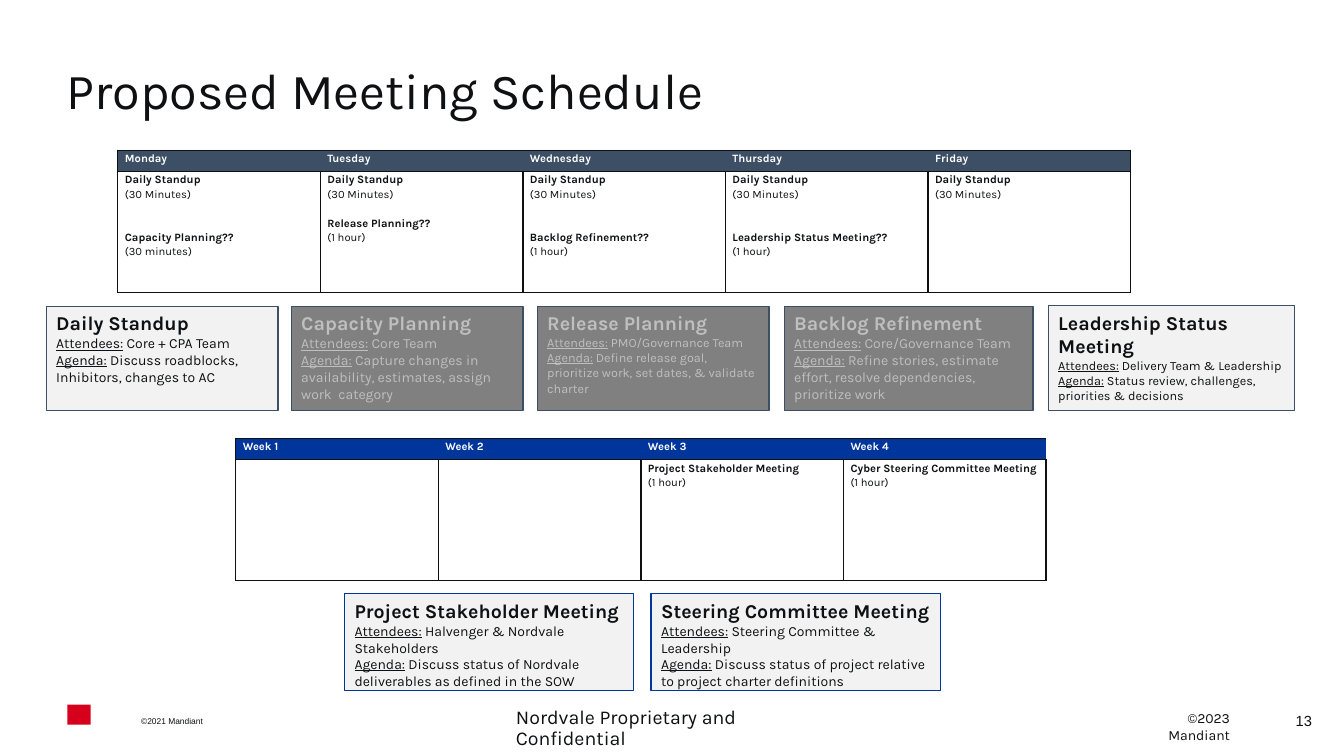
from lxml import etree
from pptx import Presentation
from pptx.dml.color import RGBColor
from pptx.enum import shapes, text
from pptx.oxml.ns import qn
from pptx.util import Pt

INK = RGBColor(0x0E, 0x10, 0x12)
WHITE = RGBColor(0xFF, 0xFF, 0xFF)
SLATE = RGBColor(0x3C, 0x4F, 0x65)
BLUE = RGBColor(0x00, 0x36, 0x9B)
PALE = RGBColor(0xF2, 0xF2, 0xF2)
GREY = RGBColor(0x80, 0x80, 0x80)
SILVER = RGBColor(0xBF, 0xBF, 0xBF)
RED = RGBColor(0xD6, 0x00, 0x1C)

COLUMN_WIDTH = 144.7
HEADER_HEIGHT = 15.1
BODY_HEIGHT = 86.4
LINE_HEIGHT = 10.3

# Each cell holds (meeting, duration, lines of space above)
STANDUP = ("Daily Standup", "(30 Minutes)", 0)
WEEKDAYS = {
    "Monday": [STANDUP, ("Capacity Planning??", "(30 minutes)", 2)],
    "Tuesday": [STANDUP, ("Release Planning??", "(1 hour)", 1)],
    "Wednesday": [STANDUP, ("Backlog Refinement??", "(1 hour)", 2)],
    "Thursday": [STANDUP, ("Leadership Status Meeting??", "(1 hour)", 2)],
    "Friday": [STANDUP],
}
WEEKS = {
    "Week 1": [],
    "Week 2": [],
    "Week 3": [("Project Stakeholder Meeting", "(1 hour)", 0)],
    "Week 4": [("Cyber Steering Committee Meeting", "(1 hour)", 0)],
}

# Box, heading, attendees, agenda, detail size, fill, font colour
WEEKLY_CARDS = [
    ((33.1, 218.9, 165.6, 74.2), "Daily Standup", "Core + CPA Team",
     "Discuss roadblocks, Inhibitors, changes to AC", 10, PALE, INK),
    ((208.1, 218.9, 165.6, 74.2), "Capacity Planning", "Core Team",
     "Capture changes in availability, estimates, assign work  category", 10, GREY, SILVER),
    ((383.8, 218.9, 165.6, 74.2), "Release Planning", "PMO/Governance Team",
     "Define release goal, prioritize work, set dates, & validate charter", 9, GREY, SILVER),
    ((560.2, 218.9, 177.8, 74.2), "Backlog Refinement", "Core/Governance Team",
     "Refine stories, estimate effort, resolve dependencies, prioritize work", 10, GREY, SILVER),
    ((748.8, 218.2, 175.7, 74.9), "Leadership Status Meeting", "Delivery Team & Leadership",
     "Status review, challenges, priorities & decisions", 9, PALE, INK),
]
MONTHLY_CARDS = [
    ((246.2, 424.1, 206.6, 69.1), "Project Stakeholder Meeting",
     "Halvenger & Nordvale Stakeholders",
     "Discuss status of Nordvale deliverables as defined in the SOW", 10, PALE, INK),
    ((465.1, 424.1, 206.6, 69.1), "Steering Committee Meeting",
     "Steering Committee & Leadership",
     "Discuss status of project relative to project charter definitions", 10, PALE, INK),
]


def style(font, size, color, bold=False, name="Karla"):
    font.name = name
    font.size = Pt(size)
    font.bold = bold
    font.color.rgb = color


def set_margins(target, left, top, right, bottom):
    target.margin_left, target.margin_top = Pt(left), Pt(top)
    target.margin_right, target.margin_bottom = Pt(right), Pt(bottom)


def set_borders(cell, drawn):
    """Draw the named sides (of L, R, T, B) and clear the others."""
    properties = cell._tc.get_or_add_tcPr()
    for side in "LRTB":
        line = etree.SubElement(properties, qn(f"a:ln{side}"), w=str(Pt(1)))
        if side in drawn:
            fill = etree.SubElement(line, qn("a:solidFill"))
            etree.SubElement(fill, qn("a:srgbClr"), val=str(INK))
        else:
            etree.SubElement(line, qn("a:noFill"))


def fill_cell(cell, lines, color):
    """Write lines given as (words, bold, space before)."""
    set_margins(cell, 5, 0.7, 5, 0)
    frame = cell.text_frame
    frame.text = "\n".join(words for words, _, _ in lines)
    for paragraph, (_, bold, space) in zip(frame.paragraphs, lines):
        paragraph.line_spacing = 1.1
        if space:
            paragraph.space_before = Pt(space)
        style(paragraph.font, 8, color, bold)
        for run in paragraph.runs:
            style(run.font, 8, color, bold)


def add_schedule(slide, left, top, schedule, header_color, closed):
    """closed tells whether the header row has a border at its right end."""
    count = len(schedule)
    frame = slide.shapes.add_table(2, count, Pt(left), Pt(top), Pt(COLUMN_WIDTH * count),
                                   Pt(HEADER_HEIGHT + BODY_HEIGHT))
    table = frame.table
    table.first_row = table.horz_banding = False
    table.rows[0].height, table.rows[1].height = Pt(HEADER_HEIGHT), Pt(BODY_HEIGHT)
    for index, (heading, meetings) in enumerate(schedule.items()):
        table.columns[index].width = Pt(COLUMN_WIDTH)
        header, body = table.cell(0, index), table.cell(1, index)
        sides = "TB" + ("L" if index == 0 else "")
        if closed and index == count - 1:
            sides += "R"
        set_borders(header, sides)
        header.fill.solid()
        header.fill.fore_color.rgb = header_color
        fill_cell(header, [(heading, True, 0)], WHITE)

        set_borders(body, "LRTB")
        body.fill.background()
        lines = []
        for meeting, duration, gap in meetings:
            lines += [(meeting, True, gap * LINE_HEIGHT), (duration, False, 0)]
        fill_cell(body, lines, INK)


def add_rectangle(slide, box, color):
    shape = slide.shapes.add_shape(shapes.MSO_SHAPE.RECTANGLE, *map(Pt, box))
    shape.shadow.inherit = False
    shape.fill.solid()
    shape.fill.fore_color.rgb = color
    shape.line.fill.background()
    return shape


def add_card(slide, border, box, heading, attendees, agenda, size, fill, color):
    shape = add_rectangle(slide, box, fill)
    shape.line.color.rgb = border
    shape.line.width = Pt(1)
    frame = shape.text_frame
    frame.word_wrap = True
    frame.vertical_anchor = text.MSO_ANCHOR.TOP
    frame.text = heading
    style(frame.paragraphs[0].runs[0].font, 14, color, True)
    for label, words in (("Attendees:", attendees), ("Agenda:", agenda)):
        paragraph = frame.add_paragraph()
        for part, underlined in ((label, True), (f" {words}", False)):
            run = paragraph.add_run()
            run.text = part
            style(run.font, size, color)
            run.font.underline = underlined
    for paragraph in frame.paragraphs:
        paragraph.alignment = text.PP_ALIGN.LEFT


def add_label(slide, box, words, size, font="Karla", align=text.PP_ALIGN.LEFT, tight=False):
    """A tight label has no margins and is centred vertically."""
    frame = slide.shapes.add_textbox(*map(Pt, box)).text_frame
    frame.word_wrap = True
    if tight:
        set_margins(frame, 0, 0, 0, 0)
        frame.vertical_anchor = text.MSO_ANCHOR.MIDDLE
    frame.text = words
    paragraph = frame.paragraphs[0]
    paragraph.alignment = align
    style(paragraph.runs[0].font, size, INK, name=font)
    return paragraph


def set_title(slide, words):
    title = slide.shapes.title
    title.left, title.top, title.width, title.height = map(Pt, (47.5, 46.8, 863.3, 33.8))
    frame = title.text_frame
    set_margins(frame, 0, 0, 0, 0)
    frame.auto_size = text.MSO_AUTO_SIZE.NONE
    frame.vertical_anchor = text.MSO_ANCHOR.TOP
    frame.text = words
    paragraph = frame.paragraphs[0]
    paragraph.alignment = text.PP_ALIGN.LEFT
    paragraph.line_spacing = 0.9
    style(paragraph.runs[0].font, 36, INK)


def add_footer(slide):
    add_rectangle(slide, (48.2, 503.3, 16.6, 14.4), RED)
    add_label(slide, (100.8, 511.2, 68.4, 7.2), "©2021 Mandiant", 6, "Arial", tight=True)
    notice = add_label(slide, (361.4, 501.8, 245.5, 22.3),
                       "Nordvale Proprietary and Confidential", 14)
    notice.line_spacing = 0.9
    add_label(slide, (798.5, 503.3, 87.1, 19.4), "©2023 Mandiant", 10,
              align=text.PP_ALIGN.RIGHT)
    add_label(slide, (902.9, 488.9, 56.9, 51.1), "13", 10.5, "Arial",
              text.PP_ALIGN.CENTER, tight=True)


def main():
    presentation = Presentation()
    presentation.slide_width, presentation.slide_height = Pt(960), Pt(540)
    slide = presentation.slides.add_slide(presentation.slide_layouts[5])
    set_title(slide, "Proposed Meeting Schedule")
    add_schedule(slide, 84.2, 107.3, WEEKDAYS, SLATE, closed=True)
    add_schedule(slide, 168.5, 313.2, WEEKS, BLUE, closed=False)
    for card in WEEKLY_CARDS:
        add_card(slide, SLATE, *card)
    for card in MONTHLY_CARDS:
        add_card(slide, BLUE, *card)
    add_footer(slide)
    presentation.save("out.pptx")


if __name__ == "__main__":
    main()
